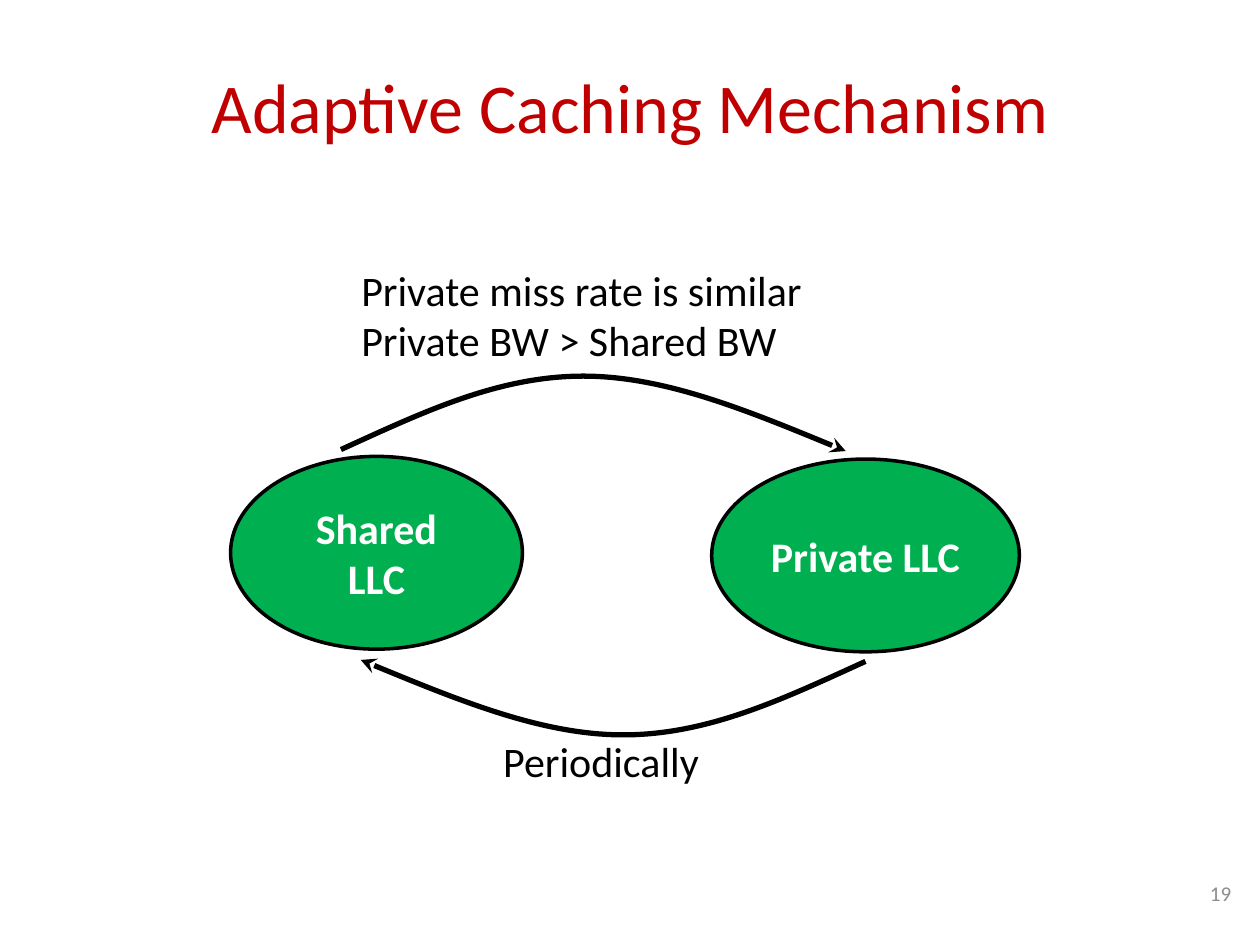
from lxml import etree
from pptx import Presentation
from pptx.dml.color import RGBColor
from pptx.enum.shapes import MSO_SHAPE
from pptx.enum.text import MSO_ANCHOR, PP_ALIGN
from pptx.oxml.ns import qn
from pptx.util import Inches, Pt

OVAL = MSO_SHAPE.OVAL
MIDDLE, TOP = MSO_ANCHOR.MIDDLE, MSO_ANCHOR.TOP
LEFT, CENTER, RIGHT = PP_ALIGN.LEFT, PP_ALIGN.CENTER, PP_ALIGN.RIGHT

COLORS = {"title": "C00000", "state": "00B050", "ink": "000000",
          "on_state": "FFFFFF", "number": "8C8C8C"}
FONT = "Calibri"
WIDTH, HEIGHT = Inches(10), Inches(7.5)
COLUMN, ROW = WIDTH / 100, HEIGHT / 75

# Start, then control, control, end for each half; shares of the arc's box
ARC = [(0, 0.98), (0.16, 0.49), (0.31, 0), (0.48, 0),
       (0.64, 0), (0.82, 0.5), (1, 1)]


def on_grid(box):
    """Turn left, top, width, height in columns and rows into EMU."""
    left, top, width, height = box
    return (round(left * COLUMN), round(top * ROW),
            round(width * COLUMN), round(height * ROW))


def color(name):
    return RGBColor.from_string(COLORS[name])


def write(frame, text, size, ink, align, anchor, bold=False):
    frame.text = text
    frame.vertical_anchor = anchor
    for paragraph in frame.paragraphs:
        paragraph.alignment = align
        for run in paragraph.runs:
            run.font.name = FONT
            run.font.size = Pt(size)
            run.font.bold = bold
            run.font.color.rgb = color(ink)


def add_text(slide, box, text, size, ink, align=LEFT, anchor=TOP, wrap=True):
    frame = slide.shapes.add_textbox(*on_grid(box)).text_frame
    frame.word_wrap = wrap
    write(frame, text, size, ink, align, anchor)


def add_state(slide, box, text):
    state = slide.shapes.add_shape(OVAL, *on_grid(box))
    state.shadow.inherit = False
    state.fill.solid()
    state.fill.fore_color.rgb = color("state")
    state.line.color.rgb = color("ink")
    state.line.width = Pt(2)
    write(state.text_frame, text, 24, "on_state", CENTER, MIDDLE, bold=True)


def add_transition(slide, box, turned=False):
    """Draw a curved arrow over the box; turned rotates it by half a circle."""
    left, top, width, height = on_grid(box)
    shares = [(1 - x, 1 - y) for x, y in ARC] if turned else ARC
    points = [(round(left + x * width), round(top + y * height))
              for x, y in shares]
    builder = slide.shapes.build_freeform(*points[0])
    builder.add_line_segments(points[1:], close=False)
    arrow = builder.convert_to_shape()

    outline = next(arrow.element.iter(qn("a:path")))
    segments = outline.findall(qn("a:lnTo"))
    for first in range(0, len(segments), 3):
        curve = etree.SubElement(outline, qn("a:cubicBezTo"))
        for segment in segments[first:first + 3]:
            curve.append(segment[0])
            outline.remove(segment)

    arrow.shadow.inherit = False
    arrow.fill.background()
    arrow.line.color.rgb = color("ink")
    arrow.line.width = Pt(3)
    etree.SubElement(arrow.line._get_or_add_ln(), qn("a:tailEnd"),
                     type="stealth")


def add_cycle(slide, box):
    """Place both cache states, the transitions between them and their labels."""
    left, top, width, height = box

    def part(x, y, w, h):
        return left + x * width, top + y * height, w * width, h * height

    add_state(slide, part(0, 0.37, 0.37, 0.36), "Shared LLC")
    add_transition(slide, part(0.14, 0.22, 0.64, 0.14))
    add_transition(slide, part(0.165, 0.75, 0.64, 0.14), turned=True)
    add_state(slide, part(0.61, 0.375, 0.39, 0.36), "Private LLC")
    add_text(slide, part(0.15, 0, 0.61, 0.21),
             "Private miss rate is similar\nPrivate BW > Shared BW",
             24, "ink", wrap=False)
    add_text(slide, part(0.33, 0.88, 0.28, 0.12), "Periodically",
             24, "ink", wrap=False)


def main():
    deck = Presentation()
    deck.slide_width, deck.slide_height = WIDTH, HEIGHT
    slide = deck.slides.add_slide(deck.slide_layouts[6])
    add_text(slide, (3.4, 4.2, 93.2, 8.4), "Adaptive Caching Mechanism",
             40, "title", CENTER, MIDDLE)
    add_cycle(slide, (18.3, 20.5, 62.6, 42.5))
    add_text(slide, (92.7, 68, 6, 5.7), "19", 12, "number", RIGHT, MIDDLE)
    deck.save("out.pptx")


if __name__ == "__main__":
    main()
